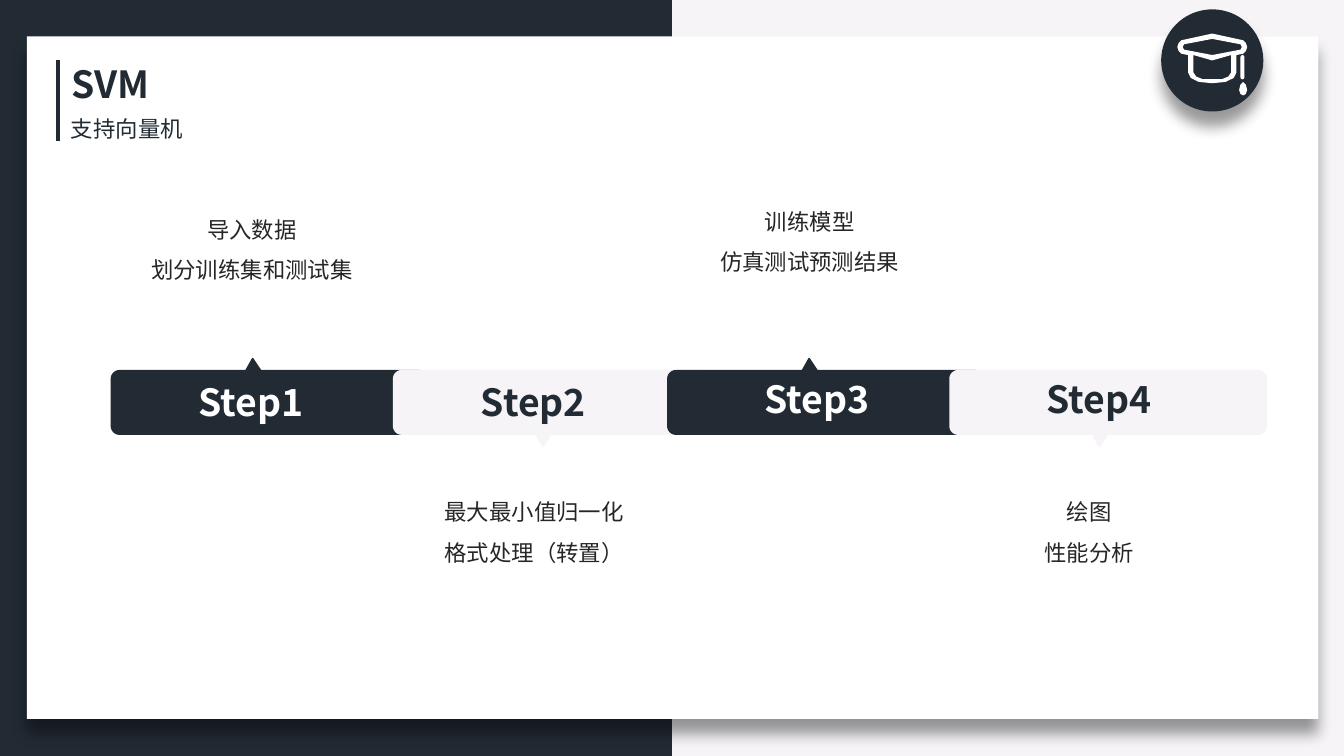
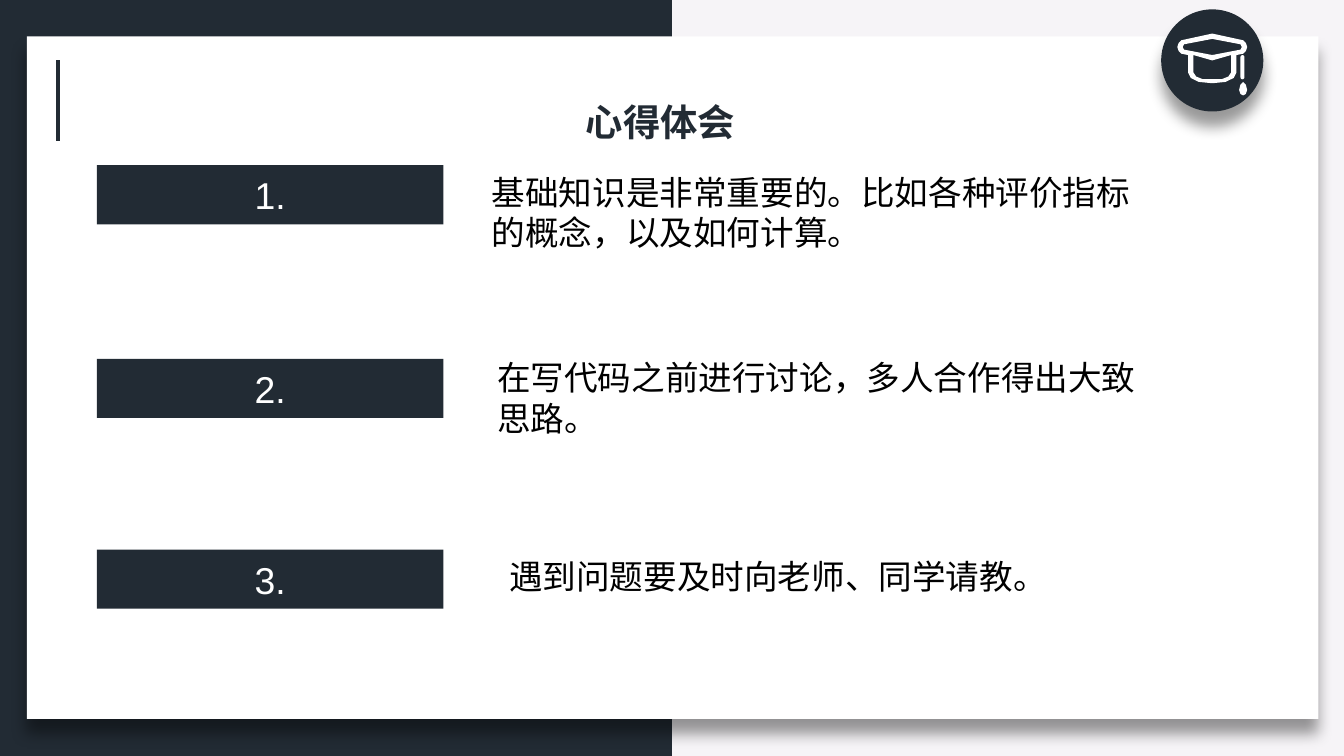
import math
import pptx
import pptx.util
import pptx.dml.color
import pptx.enum.shapes
import pptx.enum.text
import pptx.oxml
import pptx.oxml.ns

Inches = pptx.util.Inches
Pt = pptx.util.Pt
RGBColor = pptx.dml.color.RGBColor
MSO = pptx.enum.shapes.MSO_SHAPE
ALIGN = pptx.enum.text.PP_ALIGN
FIT = pptx.enum.text.MSO_AUTO_SIZE

NAVY = RGBColor(0x22, 0x2B, 0x34)
PALE = RGBColor(0xF6, 0xF4, 0xF7)
WHITE = RGBColor(0xFF, 0xFF, 0xFF)
GREY = RGBColor(0x26, 0x26, 0x26)
BLACK = RGBColor(0, 0, 0)
HEAD = "Noto Sans CJK SC"
BODY = "Calibri"
WIDTH = 10
HEIGHT = WIDTH * 9 / 16
NS = pptx.oxml.ns.nsdecls("a")
SHADE = (f'<a:effectLst {NS}><a:outerShdw blurRad="101600" dist="101600" dir="5400000" '
         'algn="t" rotWithShape="0"><a:srgbClr val="000000"><a:alpha val="40000"/>'
         '</a:srgbClr></a:outerShdw></a:effectLst>')


def draw(host, loops, color):
    pen = None
    for loop in loops:
        spots = [(Inches(x), Inches(y)) for x, y in loop]
        if pen is None:
            pen = host.build_freeform(*spots[0], scale=1.0)
        else:
            pen.move_to(*spots[0])
        pen.add_line_segments(spots[1:], close=True)
    form = pen.convert_to_shape()
    form.shadow.inherit = False
    form.fill.solid()
    form.fill.fore_color.rgb = color
    form.line.fill.background()
    return form


def label(shape, text, size, font, color, bold=False, align=ALIGN.LEFT, space=None, wrap=True):
    frame = shape.text_frame
    frame.text = text
    frame.word_wrap = wrap
    frame.auto_size = FIT.SHAPE_TO_FIT_TEXT
    for para in frame.paragraphs:
        para.alignment = align
        para.line_spacing = space
        for run in para.runs:
            run.font.size = Pt(size)
            run.font.name = font
            run.font.bold = bold
            run.font.color.rgb = color
            run.font._element.append(pptx.oxml.parse_xml(f'<a:ea {NS} typeface="{HEAD}"/>'))


deck = pptx.Presentation()
deck.slide_width = Inches(WIDTH)
deck.slide_height = Inches(HEIGHT)
back = deck.slide_master.background.fill
back.solid()
back.fore_color.rgb = PALE

CAP = [
    [(0, .25), (.23, .3), (.25, .32), (.26, .35), (.25, .38), (.23, .4), (.18, .41),
     (.18, .54), (.16, .58), (.1, .61), (0, .62)],
    [(0, .29), (.21, .33), (.22, .35), (.21, .37), (0, .41)],
    [(0, .45), (.14, .41), (.14, .54), (.12, .57), (.07, .59), (0, .59)],
]
DROP = [[(0, .61), (.02, .63), (.03, .67), (.02, .7), (0, .71)]]

for page in range(2):
    slide = deck.slides.add_slide(deck.slide_layouts[6])
    badge = slide.shapes.add_group_shape()
    for host, kind, box, color, shade in [
        (slide.shapes, MSO.RECTANGLE, (0, 0, WIDTH / 2, HEIGHT), NAVY, False),
        (slide.shapes, MSO.RECTANGLE, (.2, .27, 9.61, 5.08), WHITE, True),
        (badge.shapes, MSO.OVAL, (8.64, .07, .76, .76), NAVY, True),
        (badge.shapes, MSO.ROUNDED_RECTANGLE, (9.23, .41, .03, .18), WHITE, False),
    ]:
        part = host.add_shape(kind, *map(Inches, box))
        part.shadow.inherit = False
        part.fill.solid()
        part.fill.fore_color.rgb = color
        part.line.fill.background()
        if kind == MSO.ROUNDED_RECTANGLE:
            part.adjustments[0] = .5
        if shade:
            props = part._element.spPr
            props.remove(props.find(pptx.oxml.ns.qn("a:effectLst")))
            props.append(pptx.oxml.parse_xml(SHADE))
    for mid, halves in [(9.02, CAP), (9.25, DROP)]:
        draw(badge.shapes, [[(mid + x, y) for x, y in half] +
                            [(mid - x, y) for x, y in half[::-1] if x] for half in halves], WHITE)
    rule = slide.shapes.add_connector(pptx.enum.shapes.MSO_CONNECTOR.STRAIGHT,
                                      Inches(.43), Inches(.45), Inches(.43), Inches(1.05))
    rule.line.color.rgb = NAVY
    rule.line.width = Pt(2.25)
    rule._element.spPr.append(pptx.oxml.parse_xml(f"<a:effectLst {NS}/>"))
    slide.shapes._spTree.append(badge._element)

first, second = deck.slides

for box, text, size, font, bold in [
    ((.43, .41, .85, .44), "SVM", 20, HEAD, True),
    ((.43, .81, 1.03, .3), "支持向量机", 12, "Arial", False),
]:
    label(first.shapes.add_textbox(*map(Inches, box)), text, size, font, NAVY, bold, wrap=False)

STEPS = [
    (.83, 1.38, 2.77, .93, 1.46, "导入数据\n划分训练集和测试集"),
    (2.93, 3.48, 2.77, 3.03, 3.56, "最大最小值归一化\n格式处理（转置）"),
    (4.97, 5.59, 2.75, 5.08, 1.4, "训练模型\n仿真测试预测结果"),
    (7.07, 7.69, 2.75, 7.16, 3.56, "绘图\n性能分析"),
]
WIDE, TOP, LOW, ROUND = 2.35, 2.76, 3.23, .06

for num, (left, *rest) in enumerate(STEPS):
    dark = num % 2 == 0
    color = NAVY if dark else PALE
    right = left + WIDE
    edge = []
    for x, y, start in [
        (left + ROUND, TOP + ROUND, 180), (right - ROUND, TOP + ROUND, 270),
        (right - ROUND, LOW - ROUND, 0), (left + ROUND, LOW - ROUND, 90),
    ]:
        for turn in range(0, 91, 15):
            angle = math.radians(start + turn)
            edge.append((x + ROUND * math.cos(angle), y + ROUND * math.sin(angle)))
        if dark and start == 180:
            edge += [(left + 1, TOP), (left + 1.05, TOP - .09), (left + 1.11, TOP)]
        if not dark and start == 0:
            edge += [(left + 1.17, LOW), (left + 1.11, LOW + .09), (left + 1.06, LOW)]
    bar = draw(first.shapes, [edge], color)
    bar.line.color.rgb = color
    bar.line.width = Pt(1)

for num, (left, start, high, side, top, text) in enumerate(STEPS):
    name = first.shapes.add_textbox(Inches(start), Inches(high), Inches(1), Inches(.44))
    label(name, f"Step{num + 1}", 20, HEAD, NAVY if num % 2 else WHITE, True, wrap=False)
    note = first.shapes.add_textbox(Inches(side), Inches(top), Inches(1.89), Inches(.71))
    label(note, text, 12, BODY, GREY, align=ALIGN.CENTER, space=1.5)

title = second.shapes.add_textbox(Inches(4.26), Inches(.69), Inches(1.31), Inches(.44))
label(title, "心得体会", 20, HEAD, NAVY, True, wrap=False)

for num, (top, box, text) in enumerate([
    (1.23, (3.56, 1.23, 4.98, .73), "基础知识是非常重要的。比如各种评价指标的概念，以及如何计算。"),
    (2.67, (3.6, 2.61, 5.04, .71), "在写代码之前进行讨论，多人合作得出大致思路。"),
    (4.09, (3.69, 4.09, 4.39, .4), "遇到问题要及时向老师、同学请教。"),
], 1):
    tag = second.shapes.add_shape(MSO.RECTANGLE, Inches(.72), Inches(top), Inches(2.58), Inches(.44))
    tag.shadow.inherit = False
    tag.fill.solid()
    tag.fill.fore_color.rgb = NAVY
    tag.line.fill.background()
    label(tag, f"{num}.", 20, "Arial", WHITE, align=ALIGN.CENTER)
    label(second.shapes.add_textbox(*map(Inches, box)), text, 18, BODY, BLACK)

deck.save("out.pptx")
